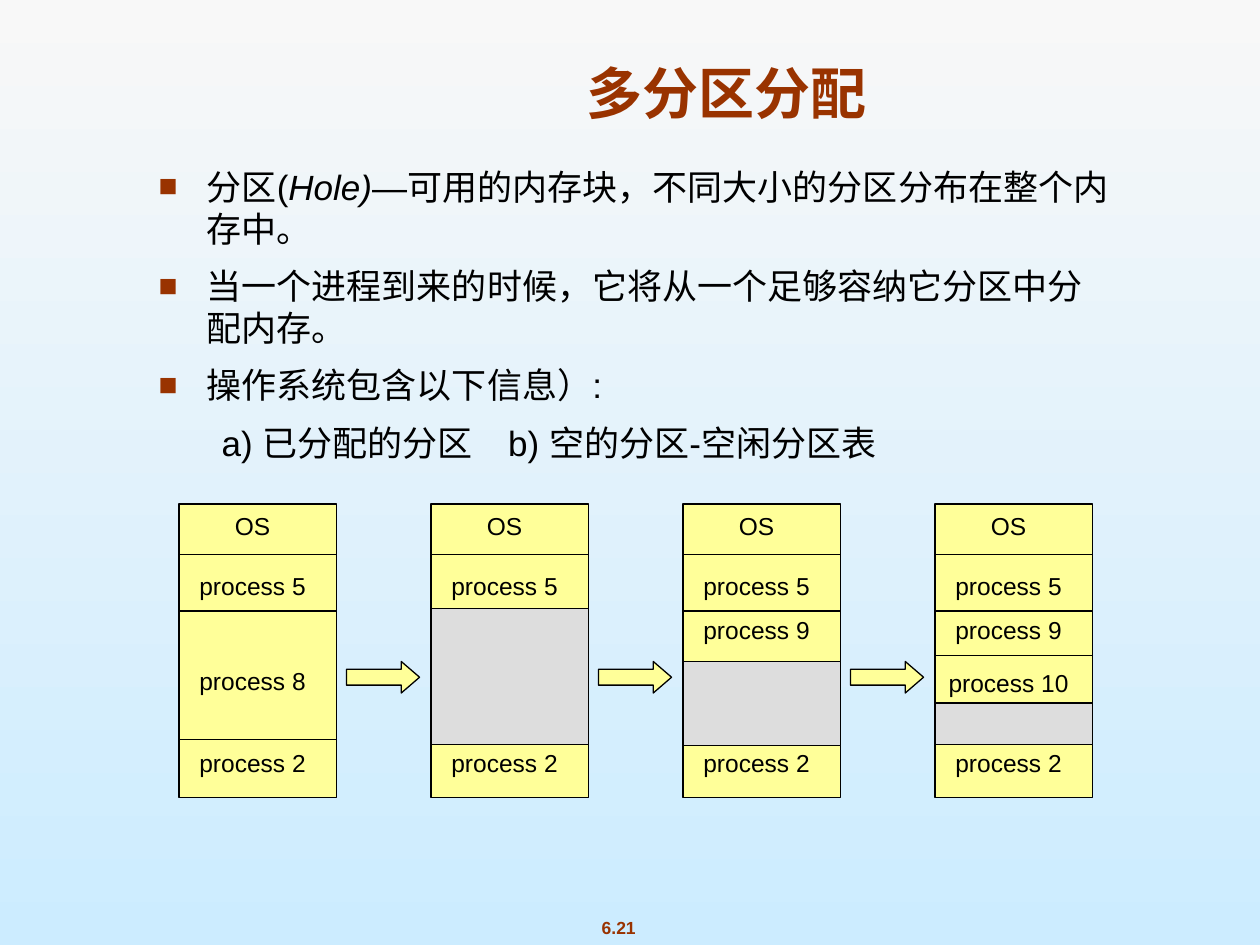
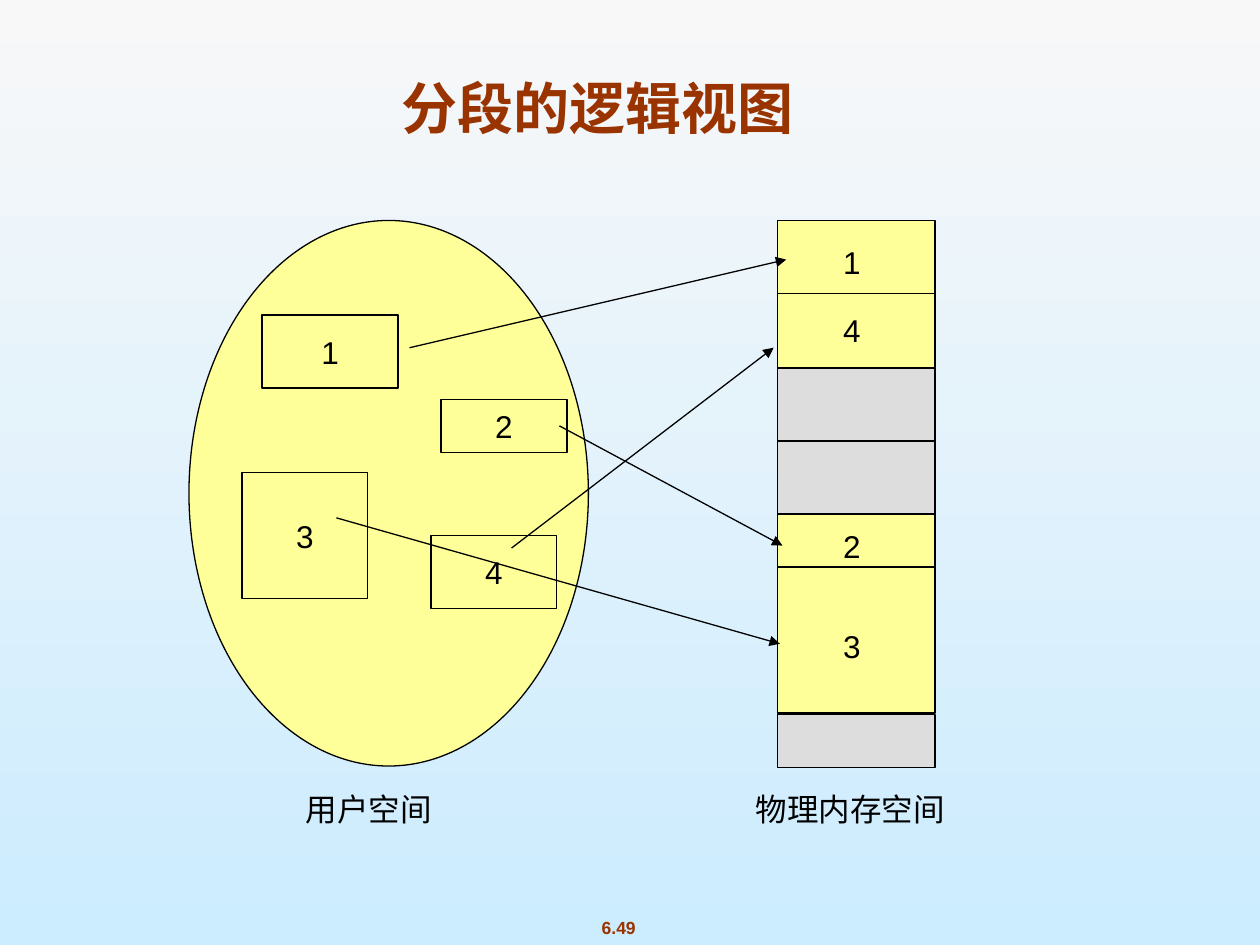
import dataclasses

import lxml.etree
import pptx
import pptx.dml.color
import pptx.enum.shapes
import pptx.enum.text
import pptx.oxml.ns
import pptx.util

Inches = pptx.util.Inches
Pt = pptx.util.Pt
SHAPE = pptx.enum.shapes.MSO_SHAPE
MIDDLE = pptx.enum.text.MSO_ANCHOR.MIDDLE
CENTER = pptx.enum.text.PP_ALIGN.CENTER


def rgb(value):
    return pptx.dml.color.RGBColor.from_string(value)


@dataclasses.dataclass(frozen=True)
class Theme:
    font: str = "Arial"
    accent: object = rgb("993300")
    ink: object = rgb("000000")
    used: object = rgb("FFFF99")
    free: object = rgb("DDDDDD")
    sky_top: object = rgb("F8F8F8")
    sky_bottom: object = rgb("CCECFF")
    title: object = Pt(32)
    body: object = Pt(20)
    number: object = Pt(18)
    process: object = Pt(14)
    footer: object = Pt(10)
    outline: object = Pt(0.75)
    paragraph_gap: object = Pt(8.8)


THEME = Theme()

COLUMN_LEFT, COLUMN_STEP, COLUMN_WIDTH = 1.42, 2, 1.25
COLUMN_TOP, COLUMN_HEIGHT = 4, 2.33
COLUMN_DIVIDERS = [4.4, 4.85, 5.87]
# Labels are (text, top); holes are (top, height).
COMMON_LABELS = [("OS", 4), ("process 5", 4.48), ("process 2", 5.88)]
SNAPSHOTS = [
    {"labels": [("process 8", 5.23)]},
    {"holes": [(4.83, 1.08)]},
    {"labels": [("process 9", 4.83)], "holes": [(5.25, 0.67)]},
    {"labels": [("process 9", 4.83), ("process 10", 5.25)],
     "holes": [(5.58, 0.33)], "dividers": [5.2]},
]

SEGMENTS = [
    ("1", 2.08, 2.5, 1.08, 0.58),
    ("3", 1.92, 3.75, 1, 1),
    ("2", 3.5, 3.17, 1, 0.42),
    ("4", 3.42, 4.25, 1, 0.58),
]
MEMORY_LEFT, MEMORY_WIDTH = 6.17, 1.25
MEMORY_BLOCKS = [
    (1.75, 1.17, THEME.used),
    (2.92, 1.17, THEME.free),
    (4.08, 1.58, THEME.used),
    (5.67, 0.42, THEME.free),
]
MEMORY_DIVIDERS = [2.33, 3.5, 4.5]
MEMORY_NUMBERS = [("1", 1.88), ("4", 2.42), ("2", 4.13), ("3", 4.93)]
MAPPINGS = [
    (3.25, 2.76, 6.24, 2.06),
    (4.44, 3.38, 6.21, 4.33),
    (2.67, 4.11, 6.19, 5.11),
    (4.06, 4.35, 6.14, 2.76),
]


def place(shape, left, top, width, height):
    shape.left, shape.top = Inches(left), Inches(top)
    shape.width, shape.height = Inches(width), Inches(height)


def format_runs(paragraph, size, color=THEME.ink, bold=False):
    for run in paragraph.runs:
        run.font.name = THEME.font
        run.font.size = size
        run.font.bold = bold
        run.font.color.rgb = color


def write_centered(frame, text, size, color=THEME.ink, bold=False, wrap=False):
    frame.text = text
    frame.word_wrap = wrap
    frame.vertical_anchor = MIDDLE
    paragraph = frame.paragraphs[0]
    paragraph.alignment = CENTER
    format_runs(paragraph, size, color, bold)


def add_label(shapes, text, left, top, width, height, size, **style):
    label = shapes.add_textbox(*map(Inches, (left, top, width, height)))
    write_centered(label.text_frame, text, size, **style)


def add_block(shapes, kind, left, top, width, height, color=THEME.used):
    block = shapes.add_shape(kind, *map(Inches, (left, top, width, height)))
    block.shadow.inherit = False
    block.fill.solid()
    block.fill.fore_color.rgb = color
    block.line.color.rgb = THEME.ink
    block.line.width = THEME.outline
    return block


def add_line(shapes, x1, y1, x2, y2, arrow=False):
    line = shapes.add_connector(pptx.enum.shapes.MSO_CONNECTOR.STRAIGHT,
                                *map(Inches, (x1, y1, x2, y2)))
    line.line.color.rgb = THEME.ink
    line.line.width = THEME.outline
    qn = pptx.oxml.ns.qn
    if arrow:
        outline = line.line._get_or_add_ln()
        lxml.etree.SubElement(outline, qn("a:tailEnd"), type="triangle")
    lxml.etree.SubElement(line._element.spPr, qn("a:effectLst"))


def add_dividers(shapes, left, width, tops):
    for top in tops:
        add_line(shapes, left, top, left + width, top)


def set_bullet(paragraph, left, hanging, char=None):
    """Indent a paragraph in inches; without a char it gets no bullet."""
    qn = pptx.oxml.ns.qn
    properties = paragraph._p.get_or_add_pPr()
    properties.set("marL", str(Inches(left)))
    properties.set("indent", str(-Inches(hanging)))
    if char is None:
        lxml.etree.SubElement(properties, qn("a:buNone"))
        return
    color = lxml.etree.SubElement(properties, qn("a:buClr"))
    lxml.etree.SubElement(color, qn("a:srgbClr"), val=str(THEME.accent))
    lxml.etree.SubElement(properties, qn("a:buSzPct"), val="90000")
    lxml.etree.SubElement(properties, qn("a:buFont"), typeface=THEME.font)
    lxml.etree.SubElement(properties, qn("a:buChar"), char=char)


def set_background(presentation):
    fill = presentation.slide_master.background.fill
    fill.gradient()
    fill.gradient_angle = 270
    top, bottom = fill.gradient_stops
    top.color.rgb, bottom.color.rgb = THEME.sky_top, THEME.sky_bottom


def add_slide(presentation, layout, title, title_box, page):
    slide = presentation.slides.add_slide(presentation.slide_layouts[layout])
    heading = slide.shapes.title
    place(heading, *title_box)
    write_centered(heading.text_frame, title, THEME.title, THEME.accent,
                   bold=True, wrap=True)
    heading.text_frame.auto_size = pptx.enum.text.MSO_AUTO_SIZE.NONE
    add_label(slide.shapes, page, 4.42, 7.23, 0.98, 0.27, THEME.footer,
              color=THEME.accent, bold=True)
    return slide


def fill_partition_list(body):
    place(body, 1.16, 1.26, 7.77, 2.68)
    frame = body.text_frame
    frame.text = "\n".join([
        "分区(",
        "当一个进程到来的时候，它将从一个足够容纳它分区中分配内存。",
        "操作系统包含以下信息）:",
        "a) 已分配的分区　b) 空的分区-空闲分区表",
    ])
    frame.auto_size = pptx.enum.text.MSO_AUTO_SIZE.NONE
    hole_item, *other_items = frame.paragraphs
    hole_term = hole_item.add_run()
    hole_term.text = "Hole)"
    hole_term.font.italic = True
    hole_item.add_run().text = "—可用的内存块，不同大小的分区分布在整个内存中。"
    for paragraph in frame.paragraphs[:-1]:
        set_bullet(paragraph, 0.38, 0.38, "■")
    details = frame.paragraphs[-1]
    details.level = 1
    set_bullet(details, 0.81, 0.31)
    hole_item.space_before = Pt(0)
    for paragraph in other_items:
        paragraph.space_before = THEME.paragraph_gap
    for paragraph in frame.paragraphs:
        format_runs(paragraph, THEME.body)


def add_memory_snapshot(shapes, left, labels=(), holes=(), dividers=()):
    add_block(shapes, SHAPE.RECTANGLE, left, COLUMN_TOP, COLUMN_WIDTH,
              COLUMN_HEIGHT)
    add_dividers(shapes, left, COLUMN_WIDTH, [*COLUMN_DIVIDERS, *dividers])
    for top, height in holes:
        add_block(shapes, SHAPE.RECTANGLE, left, top, COLUMN_WIDTH, height,
                  THEME.free)
    for text, top in [*COMMON_LABELS, *labels]:
        add_label(shapes, text, left, top, 1.17, 0.34, THEME.process)


def add_step_arrow(shapes, left):
    arrow = add_block(shapes, SHAPE.RIGHT_ARROW, left, 5.25, 0.58, 0.25)
    arrow.adjustments[1] = 0.58


def add_physical_memory(shapes):
    for top, height, color in MEMORY_BLOCKS:
        add_block(shapes, SHAPE.RECTANGLE, MEMORY_LEFT, top, MEMORY_WIDTH,
                  height, color)
    add_dividers(shapes, MEMORY_LEFT, MEMORY_WIDTH, MEMORY_DIVIDERS)
    for number, top in MEMORY_NUMBERS:
        add_label(shapes, number, 6.59, top, 0.34, 0.4, THEME.number)


def build_partition_slide(presentation):
    slide = add_slide(presentation, 1, "多分区分配", (2.3, 0.4, 6.93, 0.66),
                      "6.21")
    fill_partition_list(slide.placeholders[1])
    for index, snapshot in enumerate(SNAPSHOTS):
        left = COLUMN_LEFT + index * COLUMN_STEP
        add_memory_snapshot(slide.shapes, left, **snapshot)
        if index:
            add_step_arrow(slide.shapes, left - 0.67)


def build_segment_slide(presentation):
    slide = add_slide(presentation, 5, "分段的逻辑视图",
                      (1.05, 0.52, 7.39, 0.66), "6.49")
    shapes = slide.shapes
    add_block(shapes, SHAPE.OVAL, 1.5, 1.75, 3.17, 4.33)
    for number, *box in SEGMENTS:
        segment = add_block(shapes, SHAPE.RECTANGLE, *box)
        write_centered(segment.text_frame, number, THEME.number)
    add_physical_memory(shapes.add_group_shape().shapes)
    add_label(shapes, "用户空间", 2.3, 6.22, 1.25, 0.4, THEME.number)
    add_label(shapes, "物理内存空间", 5.9, 6.22, 1.7, 0.4, THEME.number)
    for mapping in MAPPINGS:
        add_line(shapes, *mapping, arrow=True)


def main():
    presentation = pptx.Presentation()
    presentation.slide_width = Inches(10)
    presentation.slide_height = Inches(7.5)
    set_background(presentation)
    build_partition_slide(presentation)
    build_segment_slide(presentation)
    presentation.save("out.pptx")


if __name__ == "__main__":
    main()
